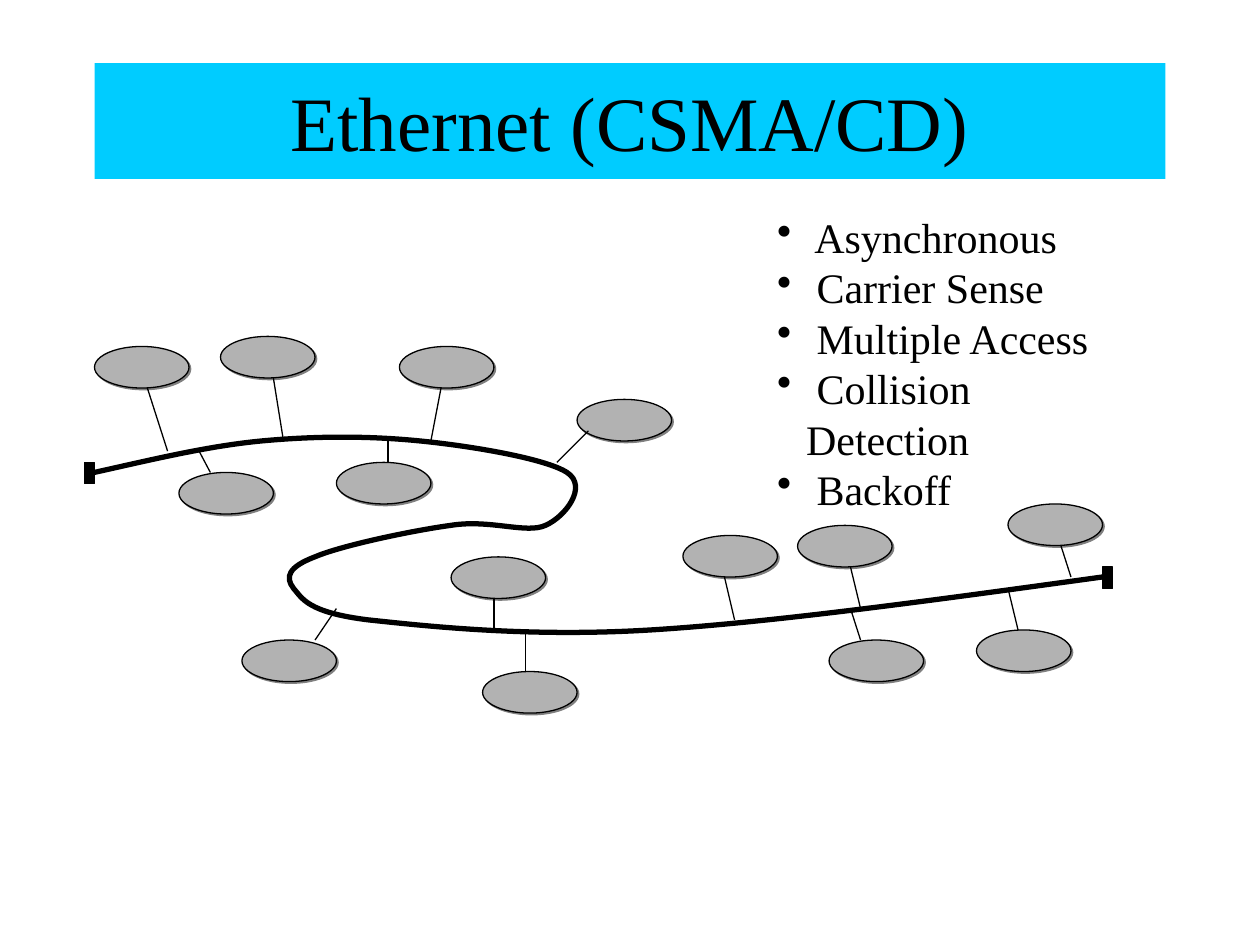
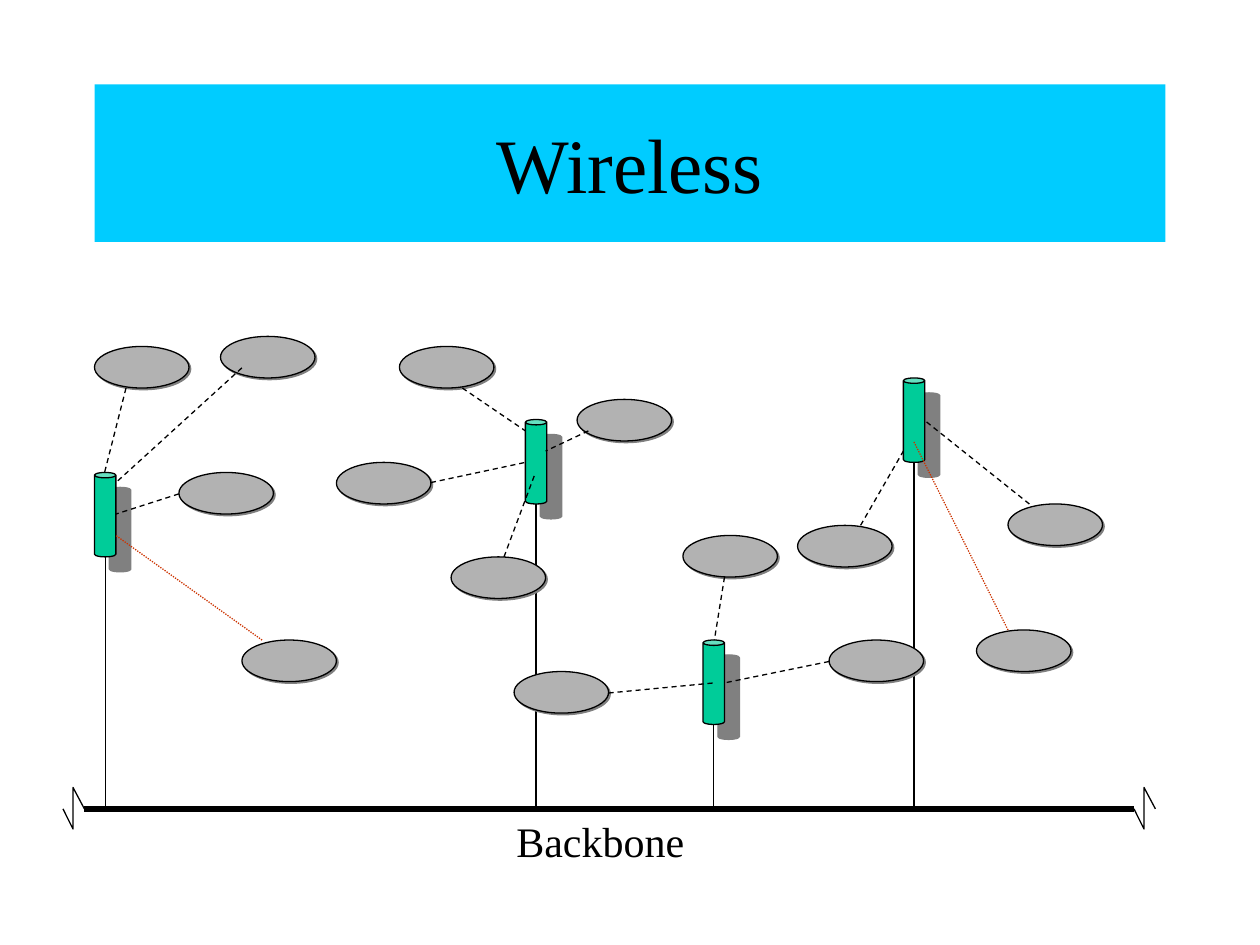
import pptx
import pptx.dml.color
import pptx.enum.dml
import pptx.enum.shapes
import pptx.enum.text
import pptx.oxml
import pptx.oxml.ns
import pptx.util

Inches = pptx.util.Inches
Pt = pptx.util.Pt
RGBColor = pptx.dml.color.RGBColor
DASH = pptx.enum.dml.MSO_LINE
SHAPE = pptx.enum.shapes.MSO_SHAPE
qn = pptx.oxml.ns.qn

BLACK = RGBColor(0x00, 0x00, 0x00)
BAND = RGBColor(0x00, 0xCC, 0xFF)
HOST_GRAY = RGBColor(0xB2, 0xB2, 0xB2)
STATION_GREEN = RGBColor(0x00, 0xCC, 0x99)
WEAK_RED = RGBColor(0xCC, 0x33, 0x00)
SHADOW_GRAY = RGBColor(0x80, 0x80, 0x80)

FONT = "Times New Roman"
THIN, THICK = 0.75, 3
BACKBONE_Y = 6.42
STATION_W, STATION_H = 0.17, 0.67

# Left and top of the hosts that stand in both networks
HOSTS = [
    (0.75, 2.75), (1.75, 2.67), (3.17, 2.75), (1.42, 3.75), (4.58, 3.17),
    (2.67, 3.67), (1.92, 5.08), (3.58, 4.42), (5.42, 4.25), (6.33, 4.17),
    (6.58, 5.08), (7.75, 5), (8, 4),
]

# Start of the cable, then two control points and an end for each curve
CABLE = [
    (0.75, 3.75),
    (1.2, 3.65), (1.65, 3.54), (2.08, 3.5),
    (2.51, 3.46), (2.93, 3.46), (3.33, 3.5),
    (3.74, 3.54), (4.33, 3.64), (4.5, 3.75),
    (4.67, 3.86), (4.49, 4.1), (4.33, 4.17),
    (4.18, 4.24), (3.89, 4.12), (3.58, 4.17),
    (3.28, 4.21), (2.71, 4.33), (2.5, 4.42),
    (2.29, 4.5), (2.26, 4.58), (2.33, 4.67),
    (2.4, 4.75), (2.44, 4.86), (2.92, 4.92),
    (3.39, 4.97), (4.19, 5.06), (5.17, 5),
    (6.14, 4.94), (7.44, 4.76), (8.75, 4.58),
]

TAPS = [
    (1.17, 3.08, 1.33, 3.58), (1.67, 3.75, 1.58, 3.58),
    (2.17, 3, 2.25, 3.5), (3.08, 3.67, 3.08, 3.5),
    (3.5, 3.08, 3.42, 3.5), (4.67, 3.42, 4.42, 3.67),
    (2.5, 5.08, 2.67, 4.83), (3.92, 4.75, 3.92, 5),
    (4.17, 5.33, 4.17, 5), (5.75, 4.58, 5.83, 4.92),
    (6.75, 4.5, 6.83, 4.83), (6.83, 5.08, 6.75, 4.83),
    (8.08, 5, 8, 4.67), (8.5, 4.58, 8.42, 4.33),
]

STATIONS = [(0.75, 3.75), (4.17, 3.33), (5.58, 5.08), (7.17, 3)]

RADIO_LINKS = [
    (1.42, 3.92, 0.92, 4.08), (1, 3.08, 0.83, 3.75),
    (1.92, 2.92, 0.92, 3.83), (3.67, 3.08, 4.17, 3.42),
    (3.42, 3.83, 4.17, 3.67), (4.67, 3.42, 4.33, 3.58),
    (4, 4.42, 4.25, 3.75), (4.83, 5.5, 5.67, 5.42),
    (5.75, 4.58, 5.67, 5.08), (6.83, 4.17, 7.17, 3.58),
    (6.58, 5.25, 5.75, 5.42), (8.17, 4, 7.33, 3.33),
]
WEAK_LINKS = [(8, 5, 7.25, 3.5), (2.08, 5.08, 0.92, 4.25)]


class Deck:
    def __init__(self):
        self.prs = pptx.Presentation()
        self.prs.slide_width = Inches(10)
        self.prs.slide_height = Inches(7.5)
        self.s = None

    def slide(self, title, top, height):
        """Start a slide with its title in a coloured band."""
        self.s = self.prs.slides.add_slide(self.prs.slide_layouts[5])
        sp = self.s.shapes.title
        sp.left, sp.top = Inches(0.75), Inches(top)
        sp.width, sp.height = Inches(8.5), Inches(height)
        sp.fill.solid()
        sp.fill.fore_color.rgb = BAND
        tf = sp.text_frame
        tf.auto_size = pptx.enum.text.MSO_AUTO_SIZE.NONE
        tf.vertical_anchor = pptx.enum.text.MSO_ANCHOR.MIDDLE
        p = tf.paragraphs[0]
        p.alignment = pptx.enum.text.PP_ALIGN.CENTER
        self.run(p, title, 44)

    def run(self, p, text, size):
        r = p.add_run()
        r.text = text
        r.font.name, r.font.size = FONT, Pt(size)
        r.font.color.rgb = BLACK

    def text(self, x, y, w, h, lines, bulleted=False):
        tf = self.s.shapes.add_textbox(
            Inches(x), Inches(y), Inches(w), Inches(h)).text_frame
        tf.word_wrap = True
        for i, line in enumerate(lines):
            p = tf.add_paragraph() if i else tf.paragraphs[0]
            p.line_spacing = Pt(28.8)
            if bulleted:
                self.bullet(p)
            self.run(p, line, 24)

    def bullet(self, p):
        pPr = p._p.get_or_add_pPr()
        pPr.set("marL", str(Inches(0.23)))
        pPr.set("indent", str(-Inches(0.23)))
        pptx.oxml.ns.nsdecls("a")
        pPr.append(pptx.oxml.parse_xml(
            f'<a:buChar {pptx.oxml.ns.nsdecls("a")} char="•"/>'))

    def shape(self, kind, x, y, w, h, fill, shadow=None):
        """Add an outlined preset shape; shadow is its distance in points."""
        sp = self.s.shapes.add_shape(
            kind, Inches(x), Inches(y), Inches(w), Inches(h))
        sp.shadow.inherit = False
        sp.fill.solid()
        sp.fill.fore_color.rgb = fill
        self.stroke(sp.line)
        if shadow:
            effects = sp._element.spPr.find(qn("a:effectLst"))
            effects.append(pptx.oxml.parse_xml(
                f'<a:outerShdw {pptx.oxml.ns.nsdecls("a")} dist="{Pt(shadow)}" '
                f'dir="2700000" algn="ctr" rotWithShape="0">'
                f'<a:srgbClr val="{SHADOW_GRAY}"/></a:outerShdw>'))

    def stroke(self, line, width=THIN, color=BLACK, dash=None):
        line.color.rgb = color
        line.width = Pt(width)
        if dash:
            line.dash_style = dash

    def line(self, x1, y1, x2, y2, **style):
        c = self.s.shapes.add_connector(
            pptx.enum.shapes.MSO_CONNECTOR.STRAIGHT,
            Inches(x1), Inches(y1), Inches(x2), Inches(y2))
        self.stroke(c.line, **style)
        c._element.spPr.append(pptx.oxml.parse_xml(
            f'<a:effectLst {pptx.oxml.ns.nsdecls("a")}/>'))

    def outline(self, points, width=THIN):
        """Draw an open, unfilled outline through the points."""
        start, *rest = [(Inches(x), Inches(y)) for x, y in points]
        builder = self.s.shapes.build_freeform(*start)
        builder.add_line_segments(rest, close=False)
        sp = builder.convert_to_shape()
        sp.shadow.inherit = False
        sp.fill.background()
        self.stroke(sp.line, width)
        return sp

    def curve(self, points, width):
        """Draw an outline whose points, three by three, are Bézier curves."""
        sp = self.outline(points, width)
        path = next(sp._element.iter(qn("a:path")))
        segments = path.findall(qn("a:lnTo"))
        for i in range(0, len(segments), 3):
            bezier = path.makeelement(qn("a:cubicBezTo"))
            for segment in segments[i:i + 3]:
                bezier.append(segment[0])
                path.remove(segment)
            path.append(bezier)

    def hosts(self, positions):
        for x, y in positions:
            self.shape(SHAPE.OVAL, x, y, 0.75, 0.33, HOST_GRAY, shadow=1.4)


def ethernet(deck):
    deck.slide("Ethernet (CSMA/CD)", 0.5, 0.92)
    deck.curve(CABLE, THICK)
    for x, y in [(0.67, 3.67), (8.75, 4.5)]:
        deck.shape(SHAPE.RECTANGLE, x, y, 0.08, 0.17, BLACK)
    deck.hosts(HOSTS + [(3.83, 5.33)])
    for tap in TAPS:
        deck.line(*tap)
    deck.text(6.07, 1.63, 3, 2.1, [
        " Asynchronous", " Carrier Sense", " Multiple Access",
        " Collision Detection", " Backoff"], bulleted=True)


def wireless(deck):
    deck.slide("Wireless", 0.67, 1.25)
    for x, y in STATIONS:
        mast_x = x + STATION_W / 2
        deck.line(mast_x, y + STATION_H, mast_x, BACKBONE_Y)
    deck.hosts(HOSTS + [(4.08, 5.33)])
    for x, y in STATIONS:
        deck.shape(SHAPE.CAN, x, y, STATION_W, STATION_H, STATION_GREEN,
                   shadow=12.1)
    deck.line(0.67, BACKBONE_Y, 9, BACKBONE_Y, width=THICK)
    for x in (0.5, 9):
        deck.outline([(x + 0.17, BACKBONE_Y), (x + 0.08, 6.25),
                      (x + 0.08, 6.58), (x, BACKBONE_Y)])
    for link in RADIO_LINKS:
        deck.line(*link, dash=DASH.DASH)
    for link in WEAK_LINKS:
        deck.line(*link, color=WEAK_RED, dash=DASH.ROUND_DOT)
    deck.text(4, BACKBONE_Y, 1.53, 0.5, ["Backbone"])


def main():
    deck = Deck()
    ethernet(deck)
    wireless(deck)
    deck.prs.save("out.pptx")


if __name__ == "__main__":
    main()
